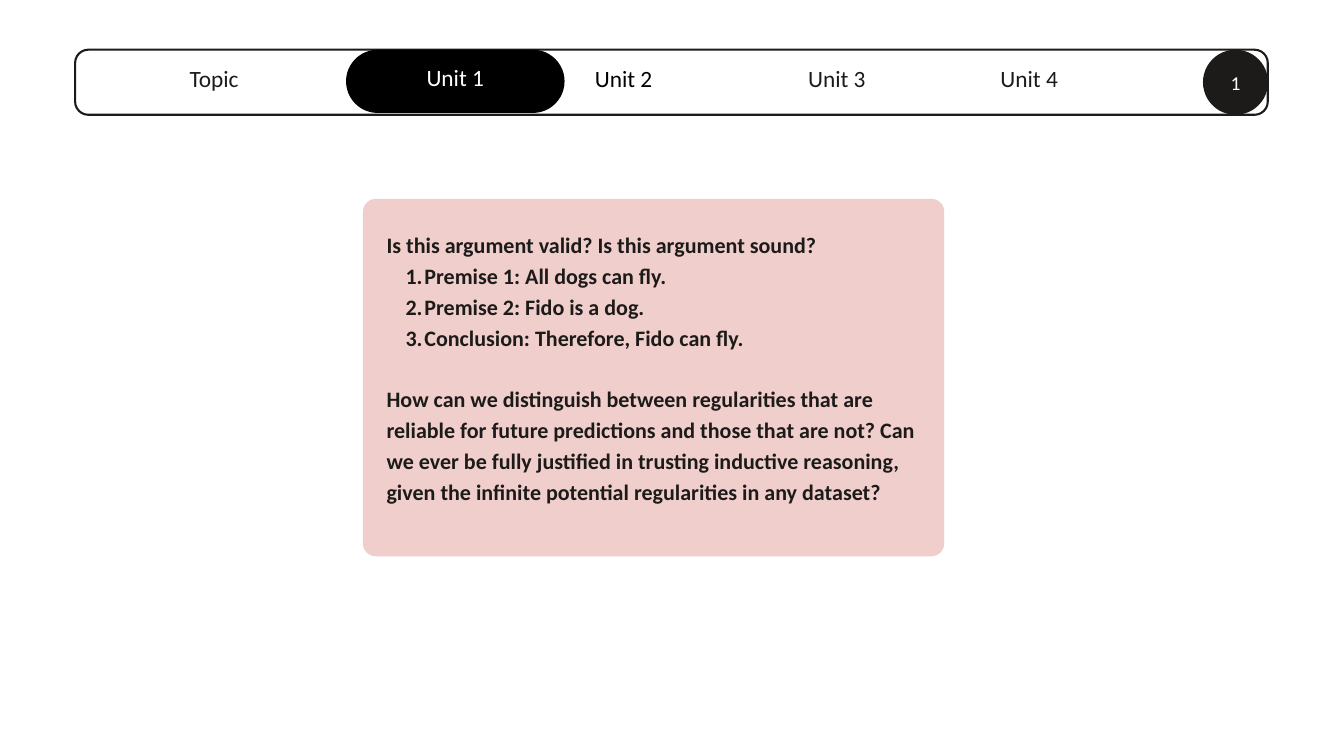
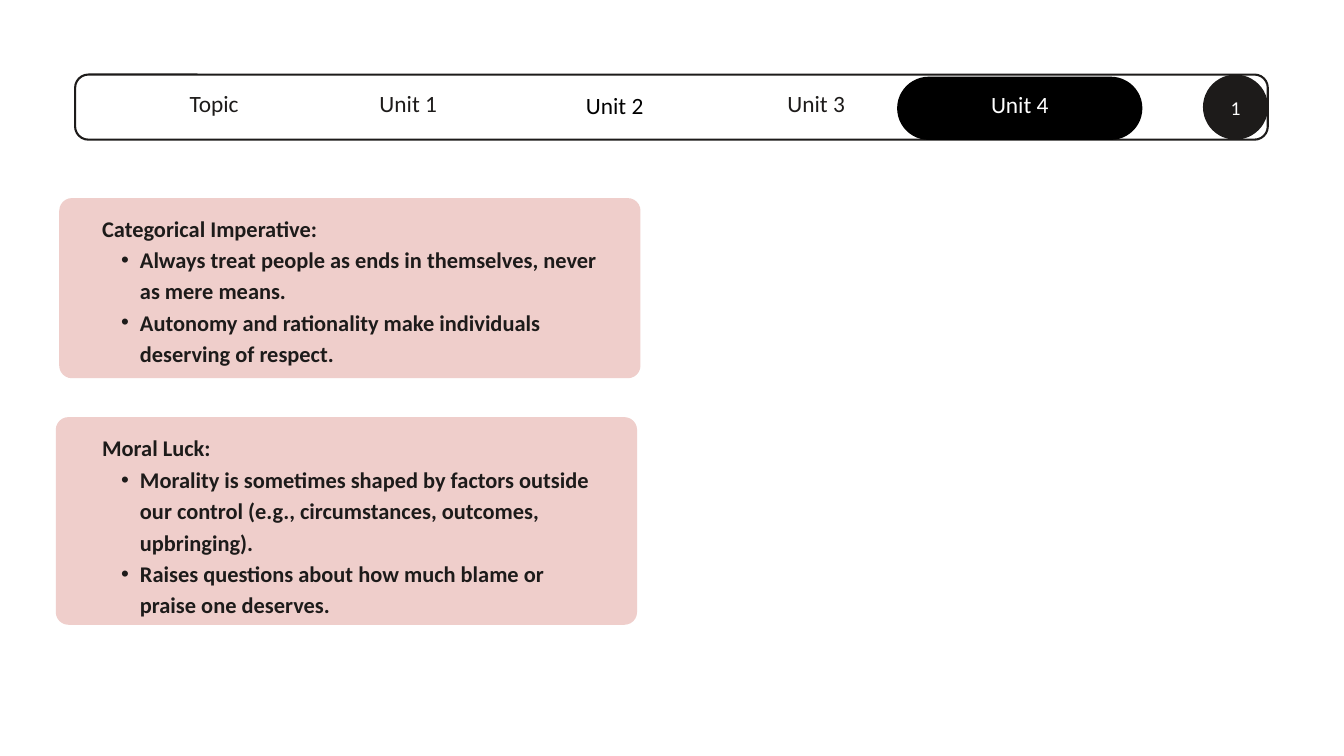
from lxml.etree import SubElement
from pptx import Presentation
from pptx.dml.color import RGBColor
from pptx.enum.shapes import MSO_SHAPE
from pptx.enum.text import MSO_ANCHOR, MSO_AUTO_SIZE, PP_ALIGN
from pptx.oxml.ns import qn
from pptx.util import Cm, Pt

# Theme: colours, type and frame formats
theme = {
    "font": "Calibri",
    "ink": RGBColor(0x1D, 0x1B, 0x1A),
    "black": RGBColor(0, 0, 0),
    "white": RGBColor(255, 255, 255),
    "pink": RGBColor(0xEF, 0xCE, 0xCB),
    "tab": 25,
    "page": 21,
    "lead": 1.4,
    "round": 0.48,
}
sides = ("margin_left", "margin_top", "margin_right", "margin_bottom")
plain = {"word_wrap": True, "auto_size": MSO_AUTO_SIZE.NONE}
label = plain | {"vertical_anchor": MSO_ANCHOR.MIDDLE} | dict.fromkeys(sides, Cm(0.15))
prose = plain | {"vertical_anchor": MSO_ANCHOR.TOP} | dict.fromkeys(sides, 0)

# Content: tabs are name, left, width, rise above the bar, height
# Cards are card box, text box, lines; a line is mark, words, lines skipped
pages = [
    {
        "layout": 1, "top": 1.88, "active": "Unit 1", "size": 23.6,
        "tabs": [
            ("Topic", 4.04, 8.1, 0.3, 2.57),
            ("Unit 1", 13.08, 8.26, 0.51, 2.9),
            ("Unit 2", 19.76, 7.62, 0.41, 2.77),
            ("Unit 3", 27.58, 8.1, 0.3, 2.57),
            ("Unit 4", 34.85, 8.1, 0.3, 2.57),
        ],
        "cards": [
            ((13.72, 7.52, 21.97, 13.51), (14.61, 8.59, 20.19, 11.61), [
                ("", "Is this argument valid? Is this argument sound?", 0),
                ("1.", "Premise 1: All dogs can fly.", 0),
                ("1.", "Premise 2: Fido is a dog.", 0),
                ("1.", "Conclusion: Therefore, Fido can fly.", 0),
                ("", "How can we distinguish between regularities that are "
                     "reliable for future predictions and those that are not? "
                     "Can we ever be fully justified in trusting inductive "
                     "reasoning, given the infinite potential regularities "
                     "in any dataset?", 1),
            ]),
        ],
    },
    {
        "layout": 3, "top": 2.82, "active": "Unit 4", "size": 24,
        "tabs": [
            ("Topic", 4.04, 8.1, 0.3, 2.57),
            ("Unit 1", 11.38, 8.1, 0.3, 2.57),
            ("Unit 2", 18.97, 8.53, 0.3, 2.72),
            ("Unit 3", 26.8, 8.1, 0.3, 2.57),
            ("Unit 4", 33.91, 9.27, 0.43, 2.9),
        ],
        "cards": [
            ((2.24, 7.49, 21.97, 6.81), (3.86, 7.95, 18.69, 6.96), [
                ("", "Categorical Imperative:", 0),
                ("•", "Always treat people as ends in themselves, never as "
                      "mere means.", 0),
                ("•", "Autonomy and rationality make individuals deserving "
                      "of respect.", 0),
            ]),
            ((2.11, 15.77, 21.97, 7.85), (3.86, 16.26, 18.69, 8.1), [
                ("", "Moral Luck:", 0),
                ("•", "Morality is sometimes shaped by factors outside our "
                      "control (e.g., circumstances, outcomes, upbringing).", 0),
                ("•", "Raises questions about how much blame or praise one "
                      "deserves.", 0),
            ]),
        ],
    },
]


def draw(slide, kind, box, fill, bend=None):
    """Add a flat filled shape, with a corner radius in cm if given."""
    shape = slide.shapes.add_shape(kind, *map(Cm, box))
    shape.shadow.inherit = False
    shape.fill.solid()
    shape.fill.fore_color.rgb = fill
    shape.line.fill.background()
    if bend:
        shape.adjustments[0] = bend / min(box[2:])
    return shape


def write(frame, lines, form, size, color, bold=False, align=PP_ALIGN.LEFT):
    """Fill a text frame with plain, numbered or bulleted lines."""
    for name, value in form.items():
        setattr(frame, name, value)
    lead = Pt(size * theme["lead"])
    for i, (mark, words, skip) in enumerate(lines):
        para = frame.add_paragraph() if i else frame.paragraphs[0]
        props = para._p.get_or_add_pPr()
        props.set("marL", str(Cm(1.43) if mark else 0))
        props.set("indent", str(Cm(-0.71) if mark else 0))
        if mark == "1.":
            SubElement(props, qn("a:buAutoNum"), type="arabicPeriod")
        elif mark:
            SubElement(props, qn("a:buFont"), typeface="Arial")
            SubElement(props, qn("a:buChar"), char=mark)
        else:
            SubElement(props, qn("a:buNone"))
        look = {"level": 1 if mark else 0, "alignment": align, "line_spacing": lead,
                "space_before": lead * skip, "space_after": 0}
        for name, value in look.items():
            setattr(para, name, value)
        run = para.add_run()
        run.text = words
        for name, value in {"name": theme["font"], "size": Pt(size), "bold": bold}.items():
            setattr(run.font, name, value)
        run.font.color.rgb = color


deck = Presentation()
deck.slide_width, deck.slide_height = Cm(50.8), Cm(28.58)

for page in pages:
    slide = deck.slides.add_slide(deck.slide_layouts[page["layout"]])
    title, *bodies = slide.placeholders
    tree = title.element.getparent()
    tree.remove(title.element)
    top = page["top"]

    # Pink cards, each with its text placeholder in front
    for body, (card, area, lines) in zip(bodies, page["cards"]):
        draw(slide, MSO_SHAPE.ROUNDED_RECTANGLE, card, theme["pink"], theme["round"])
        for name, value in zip(("left", "top", "width", "height"), area):
            setattr(body, name, Cm(value))
        write(body.text_frame, lines, prose, page["size"], theme["ink"], bold=True)
        tree.append(body.element)

    # Navigation bar
    bar = draw(slide, MSO_SHAPE.ROUNDED_RECTANGLE, (2.84, top, 45.08, 2.46),
               theme["white"], 0.5)
    bar.line.color.rgb = theme["ink"]
    bar.line.width = Pt(2.25)

    # Tabs, with a black pill behind the active one
    for name, left, width, rise, height in page["tabs"]:
        color = theme["black"] if name == "Unit 2" else theme["ink"]
        if name == page["active"]:
            color = theme["white"]
            pill = (left, top - rise + 0.51, width, height - 0.51)
            draw(slide, MSO_SHAPE.ROUNDED_RECTANGLE, pill, theme["black"], pill[3] / 2)
        box = slide.shapes.add_textbox(*map(Cm, (left, top - rise, width, height)))
        write(box.text_frame, [("", name, 0)], label, theme["tab"], color,
              align=PP_ALIGN.CENTER)

    # Page number
    draw(slide, MSO_SHAPE.OVAL, (45.47, top, 2.46, 2.46), theme["ink"])
    box = slide.shapes.add_textbox(*map(Cm, (45.7, top + 0.08, 2.01, 2.16)))
    write(box.text_frame, [("", "1", 0)], label, theme["page"], theme["white"],
          align=PP_ALIGN.CENTER)

deck.save("out.pptx")
